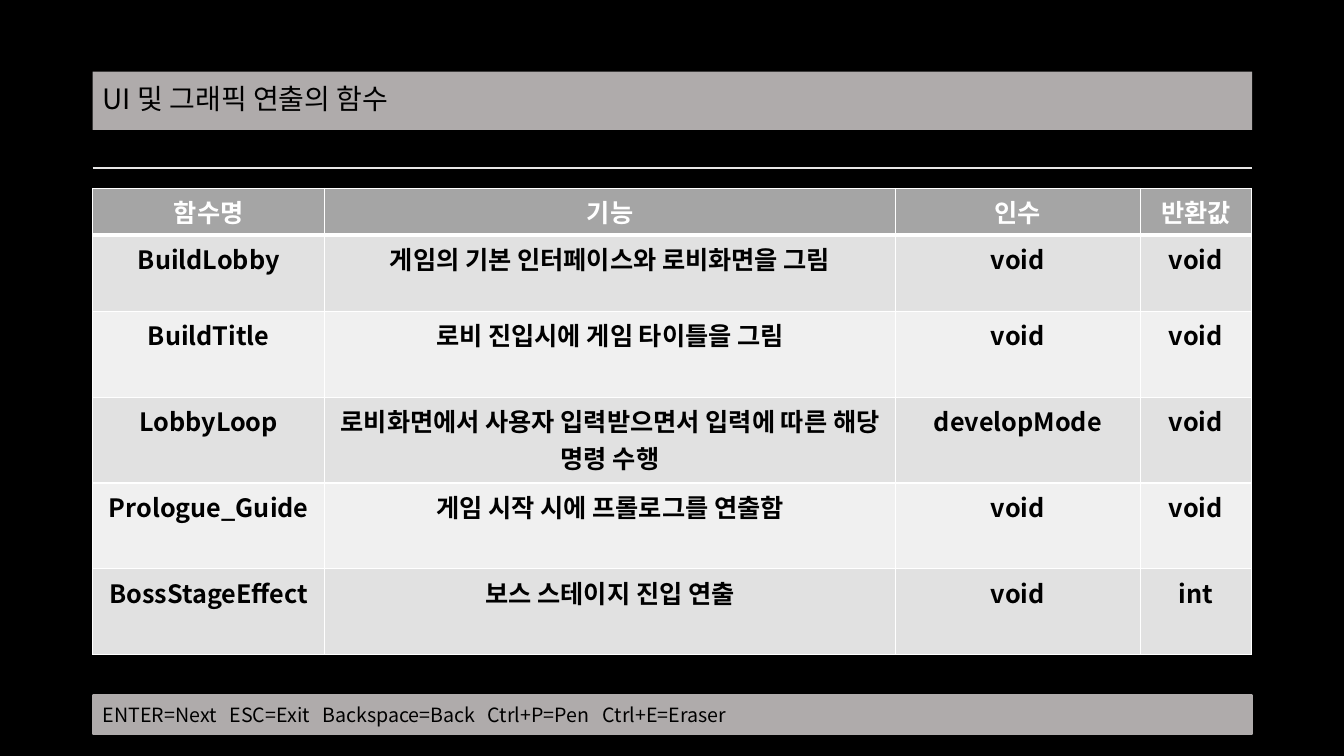
from lxml.etree import SubElement as Sub
from pptx import Presentation
from pptx.dml.color import RGBColor as RGB
from pptx.enum.shapes import MSO_CONNECTOR as Link, MSO_SHAPE as Form
from pptx.enum.text import MSO_ANCHOR as Anchor, PP_ALIGN as Align
from pptx.oxml.ns import qn
from pptx.util import Inches, Pt

BLACK = RGB(0, 0, 0)
WHITE = RGB(255, 255, 255)
PALE = RGB(0xE7, 0xE6, 0xE6)
BAR = RGB(0xAF, 0xAB, 0xAB)
HEAD = RGB(0xA5, 0xA5, 0xA5)
BANDS = RGB(0xE1, 0xE1, 0xE1), RGB(0xF0, 0xF0, 0xF0)
FONT = "Noto Sans CJK KR"
LEFT, WIDE = 0.92, 11.5

COLS = 2.3, 5.66, 2.43, 1.1
HIGHS = 0.44, 0.76, 0.85, 0.85, 0.85, 0.85
ROWS = [
    ("함수명", "기능", "인수", "반환값"),
    ("BuildLobby", "게임의 기본 인터페이스와 로비화면을 그림", "void", "void"),
    ("BuildTitle", "로비 진입시에 게임 타이틀을 그림", "void", "void"),
    ("LobbyLoop", "로비화면에서 사용자 입력받으면서 입력에 따른 해당 명령 수행",
     "developMode", "void"),
    ("Prologue_Guide", "게임 시작 시에 프롤로그를 연출함", "void", "void"),
    ("BossStageEffect", "보스 스테이지 진입 연출", "void", "int"),
]
KEYS = ("ENTER=Next", "ESC=Exit", "Backspace=Back", "Ctrl+P=Pen", "Ctrl+E=Eraser")
STOPS = 1.26, 2.18, 3.82, 4.96


def write(frame, text, size=18, color=BLACK, bold=False, align=Align.LEFT,
          space=None, stops=()):
    """Put one formatted paragraph into a text frame."""
    para = frame.paragraphs[0]
    para.alignment = align
    if space:
        para.line_spacing = space
    if stops:
        tabs = Sub(para._p.get_or_add_pPr(), qn("a:tabLst"))
        for stop in stops:
            Sub(tabs, qn("a:tab"), pos=str(Inches(stop)), algn="l")
    run = para.add_run()
    run.text = text
    font = run.font
    font.size, font.bold = Pt(size), bold
    font.color.rgb = color
    font.name = FONT
    Sub(run._r.get_or_add_rPr(), qn("a:ea"), typeface=FONT)


class Deck:
    """Holds the style and the current slide."""

    def __init__(self):
        """Open a black blank slide."""
        self.show = Presentation()
        self.show.slide_width, self.show.slide_height = Inches(13.33), Inches(7.5)
        self.slide = self.show.slides.add_slide(self.show.slide_layouts[6])
        back = self.slide.background.fill
        back.solid()
        back.fore_color.rgb = BLACK

    def rule(self, top):
        """Draw a line across the content width."""
        line = self.slide.shapes.add_connector(
            Link.STRAIGHT, Inches(LEFT), Inches(top), Inches(LEFT + WIDE), Inches(top))
        line.line.color.rgb = PALE
        line.line.width = Pt(1.5)
        Sub(line._element.spPr, qn("a:effectLst"))

    def bar(self, top, high, text, edge=False, **style):
        """Draw a grey bar with text."""
        box = self.slide.shapes.add_shape(
            Form.RECTANGLE, Inches(LEFT), Inches(top), Inches(WIDE), Inches(high))
        box.shadow.inherit = False
        box.fill.solid()
        box.fill.fore_color.rgb = BAR
        if edge:
            box.line.color.rgb = BAR
            box.line.width = Pt(1.5)
        else:
            box.line.fill.background()
        box.text_frame.word_wrap = True
        box.text_frame.vertical_anchor = Anchor.MIDDLE
        write(box.text_frame, text, **style)

    def cell(self, cell, text, row):
        """Fill, border and label one cell."""
        props = cell._tc.get_or_add_tcPr()
        edges = {"lnL": 1, "lnR": 1, "lnT": 3 if row == 1 else 1,
                 "lnB": 1 if row else 3}
        for tag, width in edges.items():
            line = Sub(props, qn(f"a:{tag}"), w=str(Pt(width)))
            Sub(Sub(line, qn("a:solidFill")), qn("a:srgbClr"), val=str(WHITE))
        cell.fill.solid()
        cell.fill.fore_color.rgb = BANDS[(row - 1) % 2] if row else HEAD
        write(cell.text_frame, text, color=BLACK if row else WHITE,
              bold=True, align=Align.CENTER)

    def grid(self, top):
        """Draw the table of functions."""
        table = self.slide.shapes.add_table(
            len(ROWS), len(COLS), Inches(LEFT), Inches(top),
            Inches(WIDE), Inches(sum(HIGHS))).table
        for col, wide in zip(table.columns, COLS):
            col.width = Inches(wide)
        for num, (high, texts) in enumerate(zip(HIGHS, ROWS)):
            table.rows[num].height = Inches(high)
            for col, text in enumerate(texts):
                self.cell(table.cell(num, col), text, num)


def main():
    """Build and save the slide."""
    deck = Deck()
    deck.rule(1.67)
    deck.bar(6.9, 0.38, "\t".join(KEYS), edge=True, size=14, stops=STOPS)
    deck.bar(0.71, 0.58, "UI 및 그래픽 연출의 함수", size=20, space=0.9)
    deck.grid(1.87)
    deck.show.save("out.pptx")


if __name__ == "__main__":
    main()
